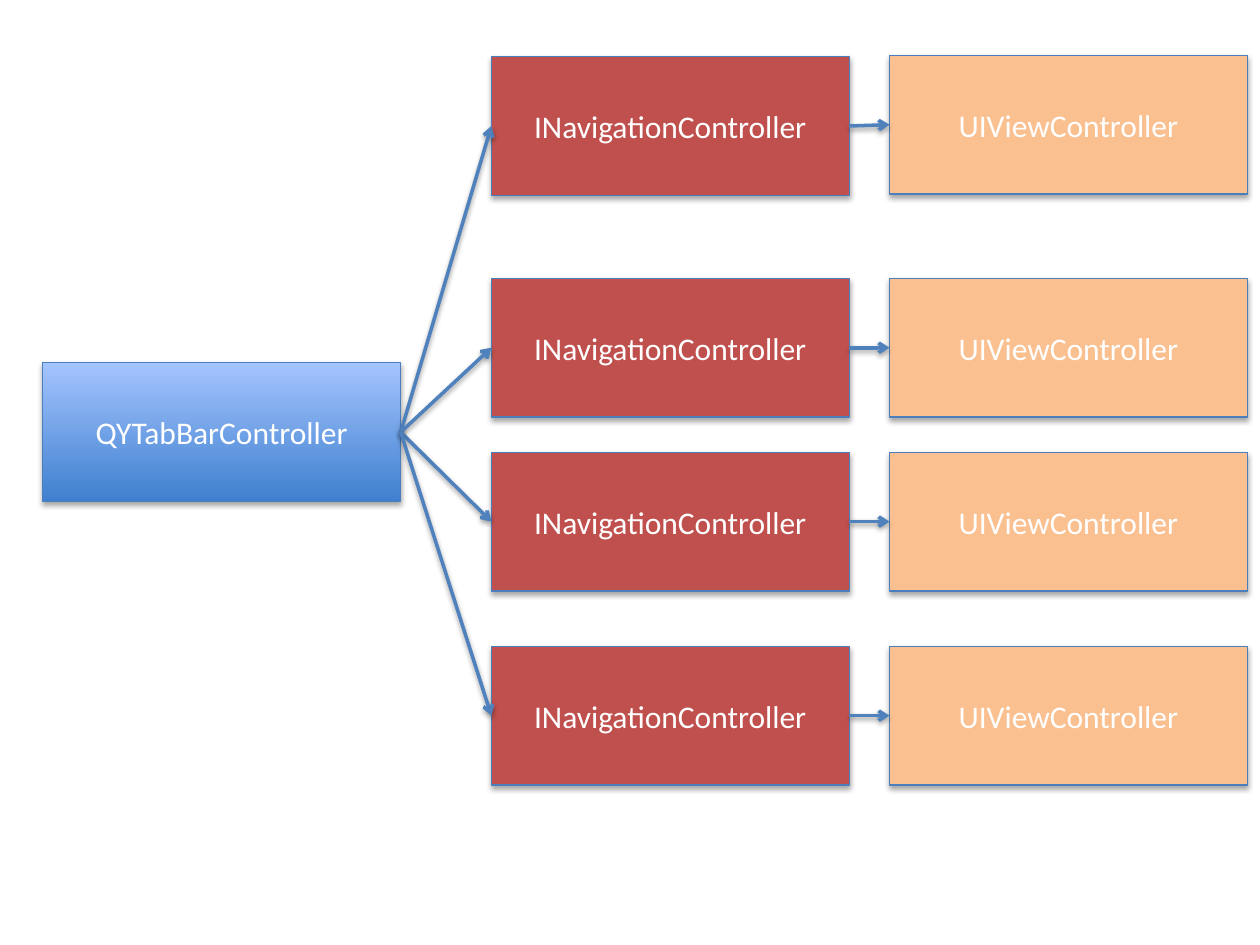
from lxml import etree
from pptx import Presentation
from pptx.dml.color import RGBColor
from pptx.enum.shapes import MSO_CONNECTOR, MSO_SHAPE
from pptx.enum.text import MSO_ANCHOR, PP_ALIGN
from pptx.oxml.ns import qn
from pptx.util import Inches, Pt

ROOT = "QYTabBarController"
# navigation label, its top, view label, its top (inches)
ROWS = [
    ("INavigationController", 0.45, "UIViewController", 0.44),
    ("INavigationController", 2.21, "UIViewController", 2.21),
    ("INavigationController", 3.59, "UIViewController", 3.59),
    ("INavigationController", 5.13, "UIViewController", 5.13),
]

BOX_W, BOX_H = 2.84, 1.1
ROOT_X, ROOT_Y = 0.34, 2.88
NAV_X, VIEW_X = 3.9, 7.06
LEFT_SITE, RIGHT_SITE = 1, 3

WHITE = RGBColor(0xFF, 0xFF, 0xFF)
BLUE_DARK = RGBColor(0x3F, 0x80, 0xCE)
BLUE_LIGHT = RGBColor(0xA4, 0xC4, 0xFF)
RED = RGBColor(0xC0, 0x50, 0x4D)
ORANGE = RGBColor(0xFA, 0xC0, 0x90)
OUTLINE = RGBColor(0x4B, 0x7E, 0xBC)
ARROW = RGBColor(0x4F, 0x81, 0xBD)


def add_shadow(item, opacity, distance):
    """Give a shape or connector a soft black shadow below it."""
    props = item._element.spPr
    effects = props.find(qn("a:effectLst"))
    if effects is None:
        effects = etree.SubElement(props, qn("a:effectLst"))
    shadow = etree.SubElement(
        effects, qn("a:outerShdw"), blurRad=str(Pt(3.1)),
        dist=str(Pt(distance)), dir="5400000", rotWithShape="0")
    black = etree.SubElement(shadow, qn("a:srgbClr"), val="000000")
    etree.SubElement(black, qn("a:alpha"), val=str(opacity * 1000))


def add_box(slide, label, x, y, *colors):
    """Add a labelled box; two colours make a bottom-to-top gradient."""
    box = slide.shapes.add_shape(
        MSO_SHAPE.RECTANGLE, Inches(x), Inches(y), Inches(BOX_W), Inches(BOX_H))
    if len(colors) > 1:
        box.fill.gradient()
        box.fill.gradient_angle = 90
        for stop, color in zip(box.fill.gradient_stops, colors):
            stop.color.rgb = color
    else:
        box.fill.solid()
        box.fill.fore_color.rgb = colors[0]
    box.line.color.rgb = OUTLINE
    box.line.width = Pt(0.75)
    box.shadow.inherit = False
    add_shadow(box, 35, 1.8)

    frame = box.text_frame
    frame.word_wrap = True
    frame.vertical_anchor = MSO_ANCHOR.MIDDLE
    paragraph = frame.paragraphs[0]
    paragraph.alignment = PP_ALIGN.CENTER
    run = paragraph.add_run()
    run.text = label
    run.font.name = "Calibri"
    run.font.size = Pt(18)
    run.font.color.rgb = WHITE
    return box


def add_arrow(slide, source, target):
    """Connect the right side of source to the left side of target."""
    arrow = slide.shapes.add_connector(MSO_CONNECTOR.STRAIGHT, 0, 0, 0, 0)
    arrow.begin_connect(source, RIGHT_SITE)
    arrow.end_connect(target, LEFT_SITE)
    arrow.line.color.rgb = ARROW
    arrow.line.width = Pt(2)
    etree.SubElement(arrow.line._get_or_add_ln(), qn("a:tailEnd"), type="arrow")
    add_shadow(arrow, 38, 1.6)


prs = Presentation()
prs.slide_width, prs.slide_height = Inches(10), Inches(7.5)
slide = prs.slides.add_slide(prs.slide_layouts[6])

root = add_box(slide, ROOT, ROOT_X, ROOT_Y, BLUE_DARK, BLUE_LIGHT)
navs = [add_box(slide, nav, NAV_X, y, RED) for nav, y, _, _ in ROWS]
for nav in navs:
    add_arrow(slide, root, nav)
views = [add_box(slide, view, VIEW_X, y, ORANGE) for _, _, view, y in ROWS]
for nav, view in zip(navs, views):
    add_arrow(slide, nav, view)

prs.save("out.pptx")
